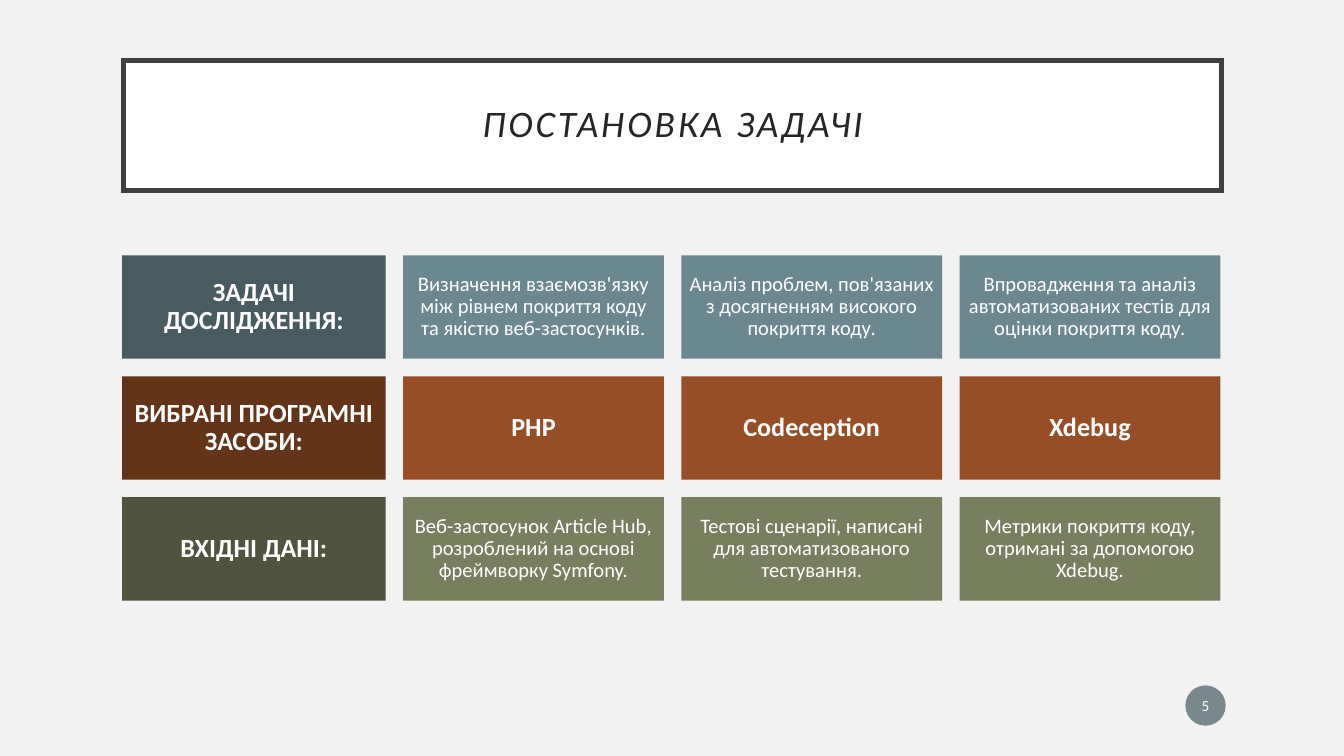
from pptx import Presentation, util as u
from pptx.dml.color import RGBColor
from pptx.enum import shapes, text
from pptx.oxml import parse_xml
from pptx.oxml.ns import nsdecls

PALE = RGBColor(0xF2, 0xF2, 0xF2)
WHITE = RGBColor(0xFF, 0xFF, 0xFF)
INK = RGBColor(0x26, 0x26, 0x26)
FRAME = RGBColor(0x40, 0x40, 0x40)
SLATE = RGBColor(0x47, 0x5B, 0x61)
STEEL = RGBColor(0x6B, 0x88, 0x91)
BROWN = RGBColor(0x64, 0x34, 0x18)
RUST = RGBColor(0x97, 0x4D, 0x25)
MOSS = RGBColor(0x50, 0x54, 0x3F)
OLIVE = RGBColor(0x77, 0x7F, 0x5E)

# Head text, head colour, cell texts, cell colour, cells in bold
ROWS = [
    ("ЗАДАЧІ ДОСЛІДЖЕННЯ:", SLATE, [
        "Визначення взаємозв'язку між рівнем покриття коду та якістю веб-застосунків.",
        "Аналіз проблем, пов'язаних з досягненням високого покриття коду.",
        "Впровадження та аналіз автоматизованих тестів для оцінки покриття коду.",
    ], STEEL, False),
    ("ВИБРАНІ ПРОГРАМНІ ЗАСОБИ:", BROWN,
     ["PHP", "Codeception", "Xdebug"], RUST, True),
    ("ВХІДНІ ДАНІ:", MOSS, [
        "Веб-застосунок Article Hub, розроблений на основі фреймворку Symfony.",
        "Тестові сценарії, написані для автоматизованого тестування.",
        "Метрики покриття коду, отримані за допомогою Xdebug.",
    ], OLIVE, False),
]


def add_box(slide, kind, box, fill):
    """Add a plain filled shape without line or shadow."""
    shape = slide.shapes.add_shape(kind, *map(u.Inches, box))
    shape.shadow.inherit = False
    shape.fill.solid()
    shape.fill.fore_color.rgb = fill
    shape.line.fill.background()
    return shape


def put_text(shape, words, size=11, color=WHITE, bold=False, italic=False,
             pad=(0.05, 0.05), lead=0.9, track=None):
    """Write centred text; pad holds the side and top margins."""
    frame = shape.text_frame
    frame.word_wrap = True
    frame.vertical_anchor = text.MSO_ANCHOR.MIDDLE
    frame.margin_left = frame.margin_right = u.Inches(pad[0])
    frame.margin_top = frame.margin_bottom = u.Inches(pad[1])
    para = frame.paragraphs[0]
    para.alignment = text.PP_ALIGN.CENTER
    para.line_spacing = lead
    run = para.add_run()
    run.text = words
    font = run.font
    font.name, font.size = "Calibri", u.Pt(size)
    font.bold, font.italic = bold, italic
    font.color.rgb = color
    if track:
        run._r.get_or_add_rPr().set("spc", str(int(track * 100)))


def add_title(slide, box):
    shape = add_box(slide, shapes.MSO_SHAPE.RECTANGLE, box, WHITE)
    shape.line.color.rgb = FRAME
    shape.line.width = u.Pt(2.5)
    # Square corners
    edge = shape.line._get_or_add_ln()
    edge.append(parse_xml(f'<a:miter {nsdecls("a")} lim="800000"/>'))
    put_text(shape, "ПОСТАНОВКА ЗАДАЧІ", size=20, color=INK, italic=True,
             pad=(0.2, 0.2), track=1.5)


def add_grid(slide, box, head=1.96, gap=0.13):
    """Rows of one head and three equal cells."""
    left, top, width, height = box
    high = (height - gap * (len(ROWS) - 1)) / len(ROWS)
    rect = shapes.MSO_SHAPE.RECTANGLE
    for row, (label, dark, cells, light, bold) in enumerate(ROWS):
        y = top + row * (high + gap)
        shape = add_box(slide, rect, (left, y, head, high), dark)
        put_text(shape, label, size=14, bold=True, pad=(0.06, 0.06))
        step = (width - head) / len(cells)
        for col, words in enumerate(cells):
            x = left + head + gap + col * step
            shape = add_box(slide, rect, (x, y, step - gap, high), light)
            if bold:
                put_text(shape, words, size=14, bold=True, pad=(0.06, 0.06))
            else:
                put_text(shape, words)


def add_number(slide, box):
    shape = add_box(slide, shapes.MSO_SHAPE.OVAL, box, SLATE)
    # Fill at 70 % opacity
    tint = shape.fill._xPr.solidFill[0]
    tint.append(parse_xml(f'<a:alpha {nsdecls("a")} val="70000"/>'))
    put_text(shape, "5", size=8.2, pad=(0.02, 0.05), lead=1.0)


def main():
    deck = Presentation()
    # Widescreen, 16:9
    deck.slide_width = u.Inches(10)
    deck.slide_height = deck.slide_width * 9 // 16
    slide = deck.slides.add_slide(deck.slide_layouts[6])
    slide.background.fill.solid()
    slide.background.fill.fore_color.rgb = PALE

    add_grid(slide, (0.91, 1.9, 8.17, 2.57))
    add_number(slide, (8.82, 5.1, 0.3, 0.3))
    add_title(slide, (0.92, 0.45, 8.17, 0.97))
    deck.save("out.pptx")


if __name__ == "__main__":
    main()
